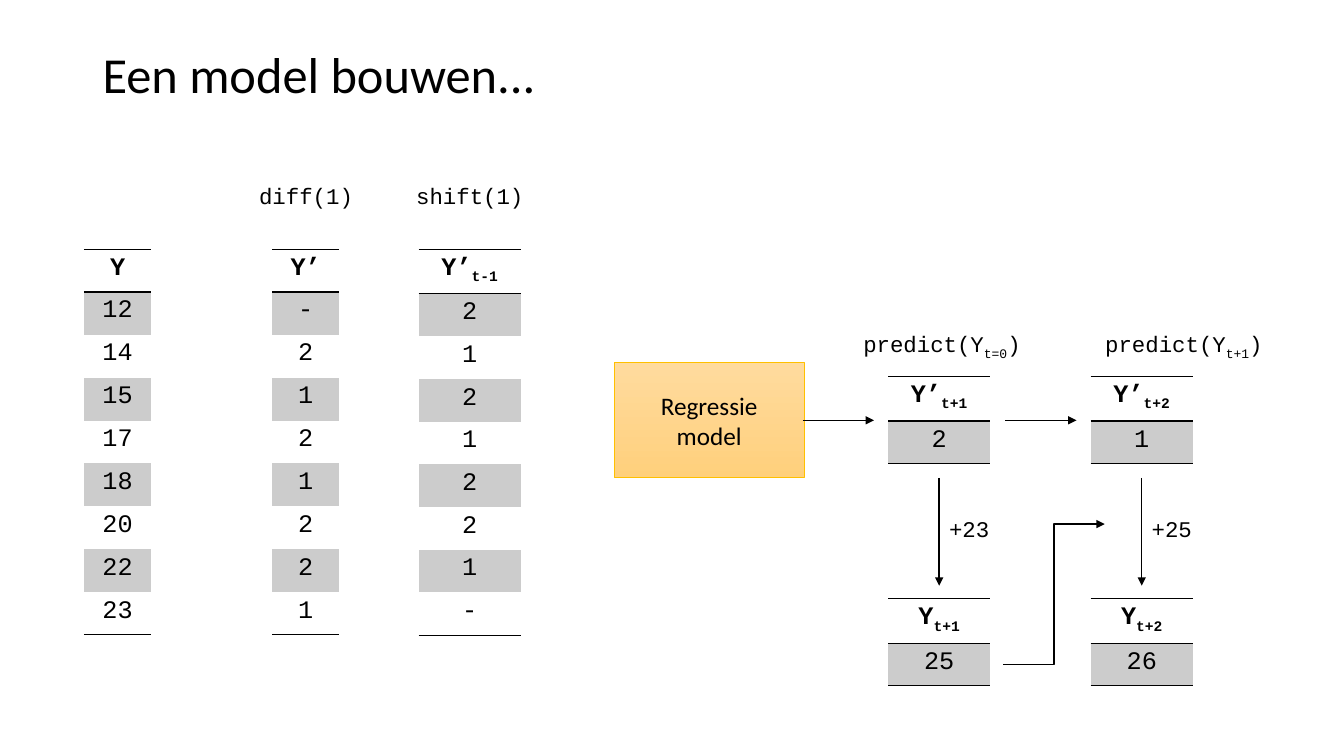
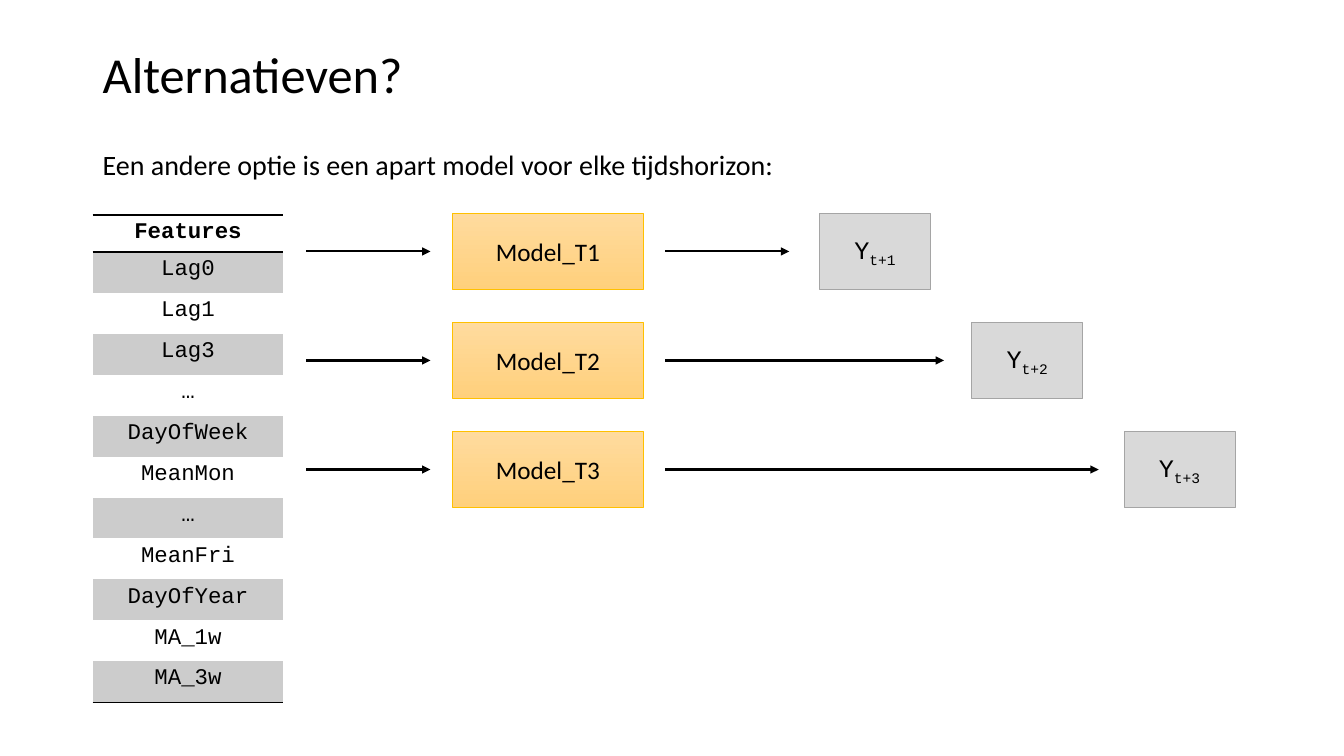
"""Build two slides on forecasting with regression models."""
from dataclasses import dataclass

from lxml import etree
from pptx import Presentation
from pptx.dml.color import RGBColor
from pptx.enum.shapes import MSO_CONNECTOR, MSO_SHAPE
from pptx.enum.text import MSO_ANCHOR, PP_ALIGN
from pptx.oxml.ns import qn
from pptx.util import Inches, Pt

RECT = MSO_SHAPE.RECTANGLE
STRAIGHT, ELBOW = MSO_CONNECTOR.STRAIGHT, MSO_CONNECTOR.ELBOW
LEFT, CENTER = PP_ALIGN.LEFT, PP_ALIGN.CENTER
TOP, MIDDLE = MSO_ANCHOR.TOP, MSO_ANCHOR.MIDDLE
WIDTH, HEIGHT = Inches(13.33), Inches(7.5)
PLAIN_TABLE = "{2D5ABB26-0587-4C30-8999-92F81FD0307C}"


@dataclass(frozen=True)
class Theme:
    """Colours, fonts and type sizes."""
    ink: str = "000000"
    band: str = "CCCCCC"
    model_top: str = "FFDB9E"
    model_bottom: str = "FFD07C"
    model_line: str = "FFC000"
    output: str = "D9D9D9"
    output_line: str = "A5A5A5"
    sans: str = "Calibri"
    mono: str = "Courier New"
    title: int = 36
    body: int = 20
    text: int = 18
    label: int = 16


T = Theme()
MARGIN, FULL = 6.9, 86.25
MODEL_W = 14.18


def rgb(value):
    """Turn a hex string into a colour."""
    return RGBColor.from_string(value)


def px(share):
    """Convert a percentage of the slide width to a length."""
    return int(WIDTH * share / 100)


def py(share):
    """Convert a percentage of the slide height to a length."""
    return int(HEIGHT * share / 100)


def box(x, y, w, h):
    """Convert a rectangle in percentages to lengths."""
    return px(x), py(y), px(w), py(h)


def write(tf, text, size=T.text, font=T.mono, bold=False, align=CENTER, spacing=None):
    """Write lines of text, with subscripts between vertical bars."""
    for i, line in enumerate(text.split("\n")):
        p = tf.add_paragraph() if i else tf.paragraphs[0]
        p.alignment = align
        if spacing:
            p.line_spacing = spacing
        for j, part in enumerate(line.split("|")):
            if not part:
                continue
            r = p.add_run()
            r.text = part
            r.font.size, r.font.name, r.font.bold = Pt(size), font, bold
            r.font.color.rgb = rgb(T.ink)
            if j % 2:
                r._r.get_or_add_rPr().set("baseline", "-25000")


def add_text(sl, at, text, anchor=TOP, wrap=True, **fmt):
    """Add a text box."""
    tf = sl.shapes.add_textbox(*box(*at)).text_frame
    tf.word_wrap, tf.vertical_anchor = wrap, anchor
    write(tf, text, **fmt)


def add_label(sl, at, text, align=CENTER):
    """Add a short code label."""
    add_text(sl, at, text, wrap=False, size=T.label, align=align)


def add_block(sl, at, text, line, font):
    """Add an outlined rectangle with centred text."""
    sp = sl.shapes.add_shape(RECT, *box(*at))
    sp.shadow.inherit = False
    sp.line.color.rgb, sp.line.width = rgb(line), Pt(0.5)
    tf = sp.text_frame
    tf.word_wrap, tf.vertical_anchor = True, MIDDLE
    write(tf, text, font=font)
    return sp


def add_model(sl, at, text):
    """Add a model block with a gradient."""
    fill = add_block(sl, at, text, T.model_line, T.sans).fill
    fill.gradient()
    fill.gradient_angle = 270
    for stop, color in zip(fill.gradient_stops, (T.model_top, T.model_bottom)):
        stop.color.rgb = rgb(color)


def add_output(sl, at, text):
    """Add a grey output block."""
    fill = add_block(sl, at, text, T.output_line, T.mono).fill
    fill.solid()
    fill.fore_color.rgb = rgb(T.output)


def add_arrow(sl, start, end, width=1, kind=STRAIGHT):
    """Add a connector with an arrowhead at its end."""
    cx = sl.shapes.add_connector(kind, px(start[0]), py(start[1]), px(end[0]), py(end[1]))
    cx.line.color.rgb, cx.line.width = rgb(T.ink), Pt(width)
    sp_pr = cx._element.spPr
    etree.SubElement(sp_pr.find(qn("a:ln")), qn("a:tailEnd"), type="triangle")
    etree.SubElement(sp_pr, qn("a:effectLst"))


def add_rule(cell, side):
    """Draw a thin rule on one side of a cell."""
    ln = etree.SubElement(cell._tc.get_or_add_tcPr(), qn(f"a:{side}"), w=str(Pt(1)))
    fill = etree.SubElement(ln, qn("a:solidFill"))
    etree.SubElement(fill, qn("a:srgbClr"), val=T.ink)


def add_column(sl, at, values, header, size=T.text):
    """Add a one-column banded table with a header of the given height."""
    frame = sl.shapes.add_table(len(values), 1, *box(*at))
    for style in frame._element.iter(qn("a:tableStyleId")):
        style.text = PLAIN_TABLE
    table = frame.table
    table.first_row = table.horz_banding = False
    row_h = (at[3] - header) / (len(values) - 1)
    for i, value in enumerate(values):
        table.rows[i].height = py(row_h if i else header)
        cell = table.cell(i, 0)
        if i == 0:
            add_rule(cell, "lnT")
        if i in (0, len(values) - 1):
            add_rule(cell, "lnB")
        if i % 2:
            cell.fill.solid()
            cell.fill.fore_color.rgb = rgb(T.band)
        else:
            cell.fill.background()
        write(cell.text_frame, value, size=size, bold=i == 0)


def add_slide(prs, title):
    """Add a blank slide with a title."""
    sl = prs.slides.add_slide(prs.slide_layouts[6])
    add_text(sl, (MARGIN, 5.33, FULL, 9.73), title, anchor=MIDDLE,
             size=T.title, font=T.sans, align=LEFT, spacing=0.9)
    return sl


def build_recursive(prs):
    """Show one model that feeds its prediction into the next step."""
    sl = add_slide(prs, "Een model bouwen...")
    series = [
        (6.25, 5, 5.67, "Y 12 14 15 17 18 20 22 23"),
        (20.25, 5, 5.67, "Y’ - 2 1 2 1 2 2 1"),
        (31.15, 7.6, 5.84, "Y’|t-1| 2 1 2 1 2 2 1 -"),
    ]
    for x, w, header, values in series:
        add_column(sl, (x, 32.95, w, 51.03), values.split(), header)
    add_label(sl, (18.38, 23.47, 8.78, 4.93), "diff(1)")
    add_label(sl, (30.08, 23.47, 9.75, 4.93), "shift(1)")
    add_model(sl, (45.68, 48, MODEL_W, 15.2), "Regressie\nmodel")

    steps = [
        (66.08, 62.55, "t=0", "t+1", "2", "+23", "25"),
        (81.15, 80.55, "t+1", "t+2", "1", "+25", "26"),
    ]
    w, h, header = 7.6, 11.47, 5.84
    for x, label_x, known, ahead, change, last, level in steps:
        mid = x + w / 2
        add_label(sl, (label_x, 43.07, 15.08, 4.93), f"predict(Y|{known}|)")
        add_column(sl, (x, 49.8, w, h), [f"Y’|{ahead}|", change], header)
        add_column(sl, (x, 79.2, w, h), [f"Y|{ahead}|", level], header)
        add_arrow(sl, (x - 6.35, 55.6), (x - 1.05, 55.6))
        add_arrow(sl, (mid, 63.2), (mid, 77.47))
        add_label(sl, (mid, 67.47, 4.58, 4.93), last, align=LEFT)
    add_arrow(sl, (74.65, 87.87), (82.2, 69.33), kind=ELBOW)


def build_direct(prs):
    """Show a separate model for each horizon."""
    sl = add_slide(prs, "Alternatieven?")
    add_text(sl, (MARGIN, 19.33, FULL, 7.2),
             "Een andere optie is een apart model voor elke tijdshorizon:",
             size=T.body, font=T.sans, align=LEFT, spacing=0.9)
    features = ("Features Lag0 Lag1 Lag3 … DayOfWeek MeanMon … "
                "MeanFri DayOfYear MA_1w MA_3w")
    add_column(sl, (MARGIN, 28.45, MODEL_W, 64.35), features.split(), 4.8, size=T.label)
    h = 10.13
    for i in range(3):
        y = 28.2 + 14.42 * i
        mid = y + h / 2
        add_model(sl, (33.68, y, MODEL_W, h), f"Model_T{i + 1}")
        add_output(sl, (60.98 + 11.33 * i, y, 8.25, h), f"Y|t+{i + 1}|")
        add_arrow(sl, (22.8, mid), (32.03, mid), width=1.5)
        add_arrow(sl, (49.5, mid), (58.73 + 11.51 * i, mid), width=1.5)


def main():
    """Build and save the presentation."""
    prs = Presentation()
    prs.slide_width, prs.slide_height = WIDTH, HEIGHT
    build_recursive(prs)
    build_direct(prs)
    prs.save("out.pptx")


if __name__ == "__main__":
    main()
